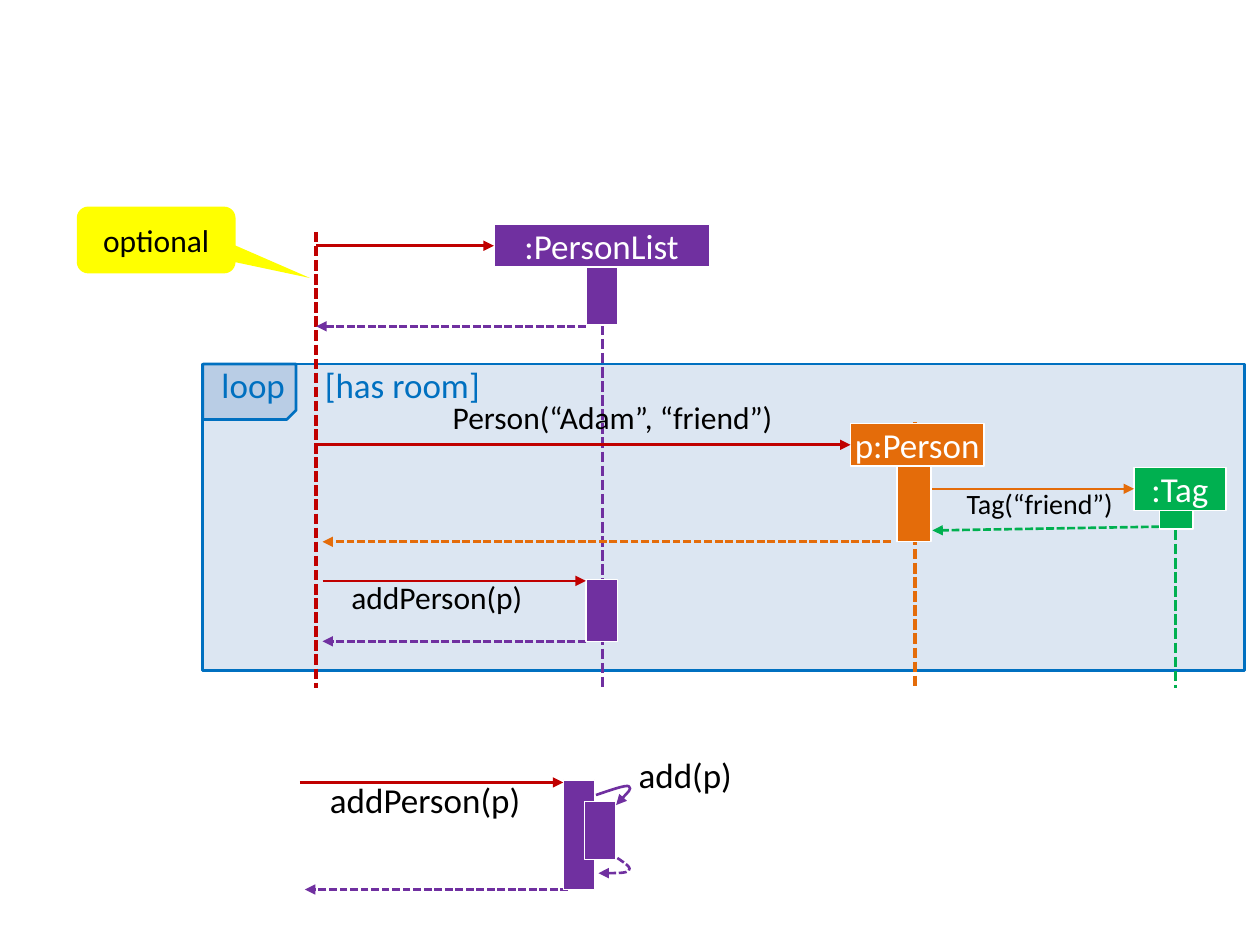
from dataclasses import dataclass
from typing import Any

from pptx import Presentation
from pptx.dml.color import RGBColor
from pptx.enum.dml import MSO_LINE
from pptx.enum.shapes import MSO_CONNECTOR, MSO_SHAPE
from pptx.enum.text import MSO_ANCHOR, MSO_AUTO_SIZE, PP_ALIGN
from pptx.oxml.ns import qn
from pptx.oxml.xmlchemy import OxmlElement
from pptx.util import Inches, Pt

COLORS = {
    "caller": "C00000",
    "list": "7030A0",
    "person": "E46C0A",
    "tag": "00B050",
    "frame": "0070C0",
    "frame_fill": "DCE6F2",
    "frame_tab": "B9CDE5",
    "note": "FFFF00",
    "text": "000000",
    "white": "FFFFFF",
}
CELL = Inches(0.1)
COLUMNS, ROWS = 100, 75
TOP, LEFT = 0, 1


@dataclass
class Region:
    """A part of the slide, measured in grid columns and rows."""

    slide: Any
    left: float
    top: float
    width: float
    height: float

    def point(self, column, row):
        """Return the slide position of a point inside the region."""
        return round((self.left + column) * CELL), round((self.top + row) * CELL)

    def box(self, column, row, width, height):
        """Return the slide position and size of a box inside the region."""
        return *self.point(column, row), round(width * CELL), round(height * CELL)


def color(name):
    """Return the named colour."""
    return RGBColor.from_string(COLORS[name])


def write_text(shape, text, size=20, fill="text", align=PP_ALIGN.LEFT,
               anchor=MSO_ANCHOR.TOP, margin=None, tab=None):
    """Write one formatted paragraph into a shape."""
    frame = shape.text_frame
    frame.word_wrap = True
    frame.vertical_anchor = anchor
    if margin is not None:
        frame.margin_left = frame.margin_right = margin
        frame.margin_top = frame.margin_bottom = margin
    paragraph = frame.paragraphs[0]
    paragraph.alignment = align
    if tab is not None:
        tabs = OxmlElement("a:tabLst")
        stop = OxmlElement("a:tab")
        stop.set("pos", str(round(tab * CELL)))
        stop.set("algn", "l")
        tabs.append(stop)
        paragraph._p.get_or_add_pPr().append(tabs)
    run = paragraph.add_run()
    run.text = text
    run.font.name = "Calibri"
    run.font.size = Pt(size)
    run.font.color.rgb = color(fill)


def add_label(region, box, text, **text_format):
    """Add a text box that grows with its text."""
    label = region.slide.shapes.add_textbox(*region.box(*box))
    write_text(label, text, **text_format)
    label.text_frame.auto_size = MSO_AUTO_SIZE.SHAPE_TO_FIT_TEXT


def add_block(region, box, fill, line="white", weight=0.75, kind=MSO_SHAPE.RECTANGLE):
    """Add a filled preset shape."""
    block = region.slide.shapes.add_shape(kind, *region.box(*box))
    block.shadow.inherit = False
    block.fill.solid()
    block.fill.fore_color.rgb = color(fill)
    if line:
        block.line.color.rgb = color(line)
        block.line.width = Pt(weight)
    else:
        block.line.fill.background()
    return block


def add_header(region, box, text, fill):
    """Add the name box of an object."""
    header = add_block(region, box, fill)
    write_text(header, text, fill="white", align=PP_ALIGN.CENTER, margin=0)
    return header


def style_line(shape, fill, weight, dashed, arrow):
    """Set the stroke of a line and its arrowhead."""
    shape.line.color.rgb = color(fill)
    shape.line.width = Pt(weight)
    if dashed:
        shape.line.dash_style = MSO_LINE.SQUARE_DOT
    if arrow:
        head = OxmlElement("a:tailEnd")
        head.set("type", "triangle")
        shape._element.spPr.find(qn("a:ln")).append(head)


def add_line(region, start, end, fill, weight=1.5, dashed=False, arrow=True, target=None):
    """Add a straight message or lifeline, joined to the left of a target if given."""
    connector = region.slide.shapes.add_connector(
        MSO_CONNECTOR.STRAIGHT, *region.point(*start), *region.point(*end))
    if target is not None:
        connector.end_connect(target, LEFT)
    style_line(connector, fill, weight, dashed, arrow)
    connector._element.spPr.append(OxmlElement("a:effectLst"))


def add_curve(region, points, fill, dashed=False):
    """Add an open curve of cubic segments ending in an arrowhead."""
    start, *others = [region.point(*point) for point in points]
    builder = region.slide.shapes.build_freeform(*start)
    builder.add_line_segments(others, close=False)
    curve = builder.convert_to_shape()
    curve.shadow.inherit = False
    curve.fill.background()
    style_line(curve, fill, 1.5, dashed, True)
    steps = list(curve._element.iter(qn("a:lnTo")))
    for index in range(0, len(steps), 3):
        segment = OxmlElement("a:cubicBezTo")
        steps[index].addprevious(segment)
        for step in steps[index:index + 3]:
            segment.append(step[0])
            step.getparent().remove(step)


def draw_loop_frame(region):
    """Draw the loop frame with its tab and condition."""
    add_block(region, (0, 0, region.width, region.height), "frame_fill", "frame", 1.5)
    corner = add_block(region, (0, 0, 7.4, 4.4), "frame_tab", "frame", 1.5,
                       MSO_SHAPE.SNIP_1_RECTANGLE)
    corner._element.spPr.find(qn("a:xfrm")).set("flipV", "1")
    title = region.slide.shapes.add_textbox(*region.box(0.5, -0.5, 33, 4.2))
    write_text(title, "loop\t[has room]", fill="frame", anchor=MSO_ANCHOR.MIDDLE, tab=8.2)


def draw_lifelines(region):
    """Draw the lifelines down to the bottom of the region."""
    for column, row, fill in ((0, 0, "caller"), (22.7, 2.9, "list"),
                              (47.5, 15.1, "person"), (68.2, 20.3, "tag")):
        add_line(region, (column, row), (column, region.height), fill,
                 weight=2, dashed=True, arrow=False)


def draw_list_creation(region):
    """Draw the creation of the person list."""
    add_block(region, (21.4, 3.3, 2.5, 4.7), "list")
    header = add_header(region, (14.1, 0, 17.1, 3.4), ":PersonList", "list")
    add_line(region, (0, 1.7), (14.1, 1.7), "caller", target=header)
    add_line(region, (21.4, 8.1), (0, 8.1), "list", dashed=True)


def draw_loop_messages(region):
    """Draw the messages sent inside the loop."""
    add_line(region, (21.4, 19.8), (0.5, 19.8), "list", dashed=True)
    add_label(region, (1.8, 14.3, 18.2, 4), "addPerson(p)", size=18)
    add_block(region, (21.4, 14.9, 2.5, 4.9), "list")
    add_block(region, (46.1, 5.8, 2.7, 6.1), "person")
    add_line(region, (45.6, 11.9), (0.5, 11.9), "person", dashed=True)
    add_line(region, (0.5, 15), (21.4, 15), "caller")
    add_line(region, (66.9, 10.7), (48.9, 11), "tag", dashed=True)
    person = add_header(region, (42.4, 2.5, 10.6, 3.4), "p:Person", "person")
    add_line(region, (0, 4.2), (42.4, 4.2), "caller", target=person)
    add_block(region, (66.9, 9.3, 2.7, 1.6), "tag")
    tag = add_header(region, (64.9, 6, 7.3, 3.4), ":Tag", "tag")
    add_line(region, (48.9, 7.7), (64.9, 7.7), "person", target=tag)
    add_label(region, (4.8, 0, 32.4, 4), "Person(“Adam”, “friend”)", size=18,
              align=PP_ALIGN.RIGHT)
    add_label(region, (49.6, 7, 14.6, 3.7), "Tag(“friend”)", size=16,
              align=PP_ALIGN.RIGHT)


def draw_self_call(region):
    """Draw the object that calls its own method."""
    add_line(region, (21.3, 11.3), (0.4, 11.3), "list", dashed=True)
    add_label(region, (1.4, 2, 18.2, 4.4), "addPerson(p)")
    add_block(region, (20.9, 2.6, 2.5, 8.7), "list")
    add_line(region, (0, 2.8), (20.9, 2.8), "caller")
    add_block(region, (22.6, 4.3, 2.5, 4.6), "list")
    add_curve(region, [(23.5, 3.8), (24.7, 3.4), (25.8, 3), (26.1, 3.1),
                       (26.4, 3.3), (25.7, 3.9), (25.1, 4.6)], "list")
    add_label(region, (25.9, 0, 18.2, 4.4), "add(p)")
    add_curve(region, [(25.2, 8.8), (25.8, 9.2), (26.4, 9.6), (26.1, 9.8),
                       (25.9, 10), (24.8, 10), (23.7, 10)], "list", dashed=True)


def draw_note(region):
    """Draw the callout that points at the caller's lifeline."""
    note = add_block(region, (0, 0, region.width, region.height), "note", None,
                     kind=MSO_SHAPE.ROUNDED_RECTANGULAR_CALLOUT)
    for index, value in enumerate((0.97, 0.57, 0.17)):
        note.adjustments[index] = value
    write_text(note, "optional", size=18, align=PP_ALIGN.CENTER, anchor=MSO_ANCHOR.MIDDLE)


def main():
    """Build the sequence diagram slide."""
    presentation = Presentation()
    presentation.slide_width, presentation.slide_height = COLUMNS * CELL, ROWS * CELL
    slide = presentation.slides.add_slide(presentation.slide_layouts[6])
    draw_loop_frame(Region(slide, 16.1, 28.9, 82.7, 24.3))
    draw_lifelines(Region(slide, 25.1, 18.4, 68.2, 36.2))
    draw_list_creation(Region(slide, 25.1, 17.8, 31.2, 8.1))
    draw_loop_messages(Region(slide, 25.1, 31.1, 72.2, 19.8))
    draw_self_call(Region(slide, 23.8, 59.3, 44.1, 11.3))
    draw_note(Region(slide, 6.1, 16.4, 12.6, 5.3))
    presentation.save("out.pptx")


if __name__ == "__main__":
    main()
